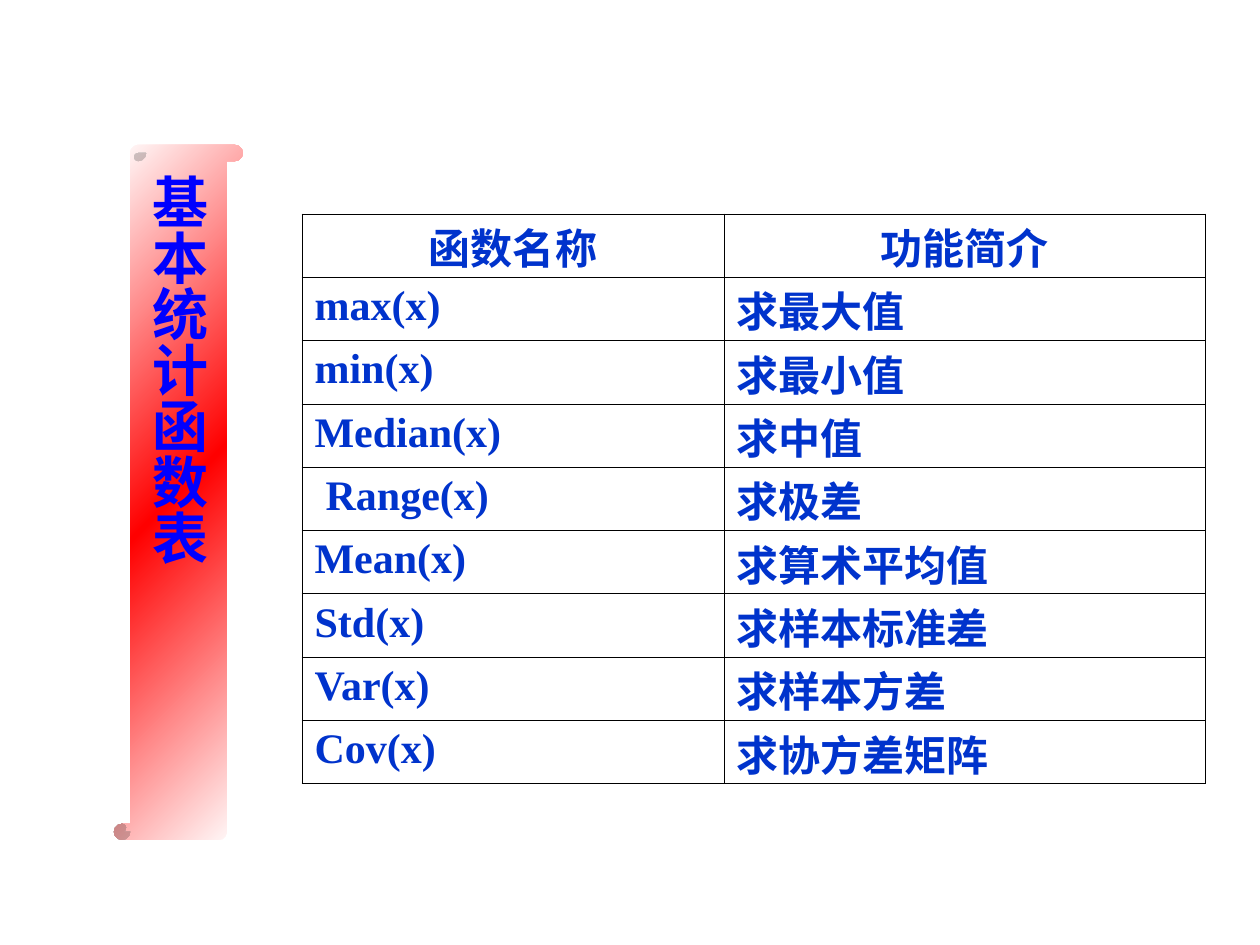
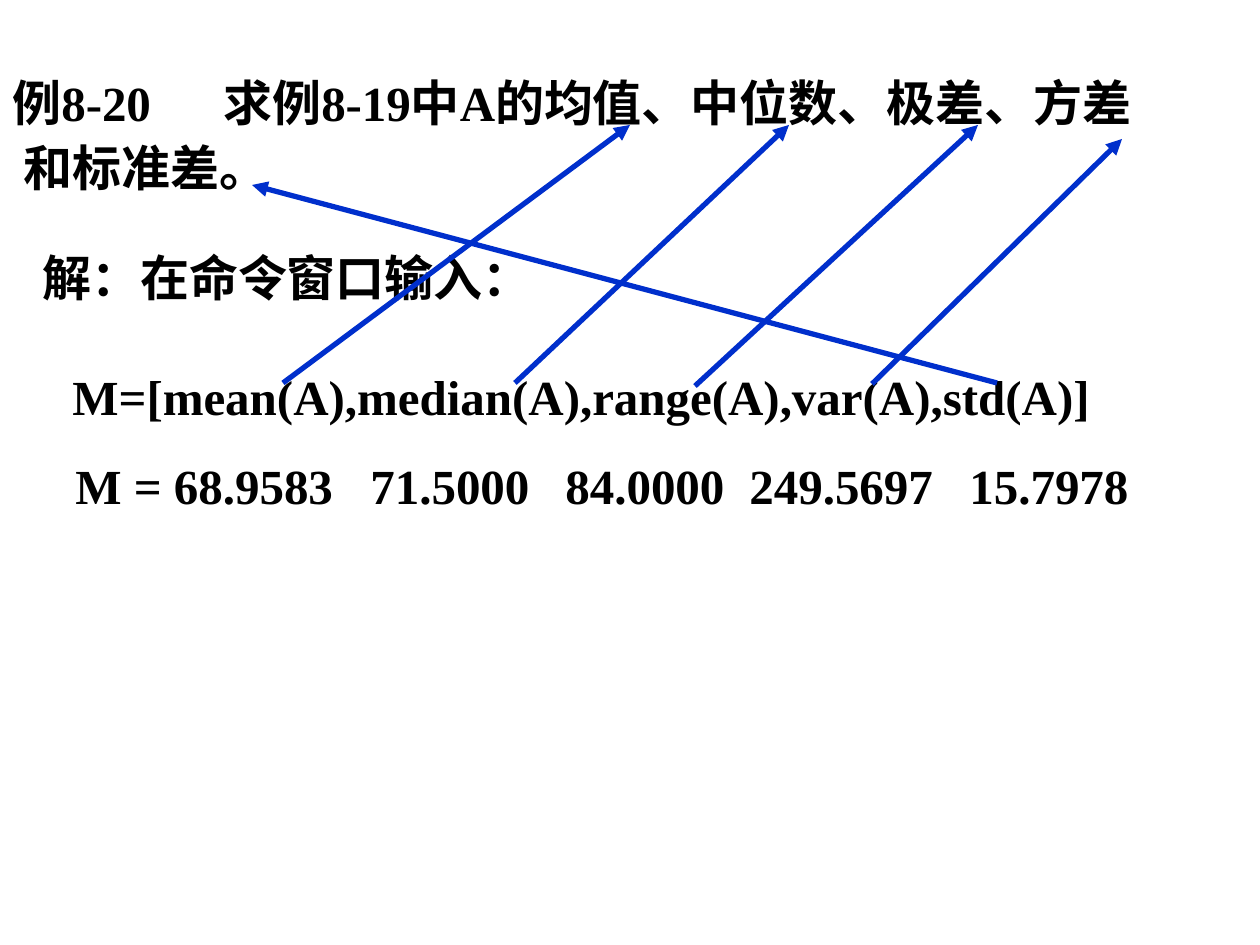
from copy import deepcopy
from pptx import Presentation as Deck
from pptx.dml.color import RGBColor as Rgb
from pptx.enum.shapes import MSO_CONNECTOR as Conn, MSO_SHAPE as Kind
from pptx.enum.text import MSO_ANCHOR as Anchor, MSO_AUTO_SIZE as Auto, PP_ALIGN as Align
from pptx.oxml.ns import qn
from pptx.util import Pt
from lxml.etree import SubElement as Sub

HUES = {"ink": "000000", "cell": "0033CC", "arrow": "002FCC",
        "name": "0000FF", "edge": "FFFFFF", "core": "FF0000"}
SANS, SERIF = "Arial", "Times New Roman"
ROWS = [("函数名称", "功能简介"), ("max(x)", "求最大值"), ("min(x)", "求最小值"),
        ("Median(x)", "求中值"), ("Range(x)", "求极差"), ("Mean(x)", "求算术平均值"),
        ("Std(x)", "求样本标准差"), ("Var(x)", "求样本方差"), ("Cov(x)", "求协方差矩阵")]
TASK = [("例", SANS), ("8-20\t", SERIF), ("求例", SANS), ("8-19", SERIF), ("中", SANS),
        ("A", SERIF), ("的均值、中位数、极差、方差", SANS)]
ARROWS = [(283, 383, 630, 125), (515, 383, 789, 125), (695, 386, 978, 125),
          (872, 384, 1122, 139), (997, 383, 252, 185)]


def emu(px):
    return round(px * 914400 / 126)


def hue(key):
    return Rgb.from_string(HUES[key])


class Board:
    """Holds the deck style and draws on the current slide."""

    def __init__(self):
        self.deck = Deck()
        self.deck.slide_width, self.deck.slide_height = emu(1260), emu(945)

    def page(self):
        self.slide = self.deck.slides.add_slide(self.deck.slide_layouts[6])
        self.shapes = self.slide.shapes

    def style(self, para, face, size, key):
        font = para.font
        font.name, font.size, font.bold = face, Pt(size), True
        font.color.rgb = hue(key)

    def inset(self, para, left, stops=()):
        props = para._p.get_or_add_pPr()
        if left:
            props.set("marL", str(emu(left)))
            props.set("indent", "0")
        if stops:
            tabs = Sub(props, qn("a:tabLst"))
            for stop in stops:
                Sub(tabs, qn("a:tab"), pos=str(emu(stop)), algn="l")

    def scroll(self, text, *box):
        shape = self.shapes.add_shape(Kind.VERTICAL_SCROLL, *map(emu, box))
        shape.shadow.inherit = False
        shape.line.fill.background()
        fill = shape.fill
        fill.gradient()
        fill.gradient_angle = 315
        first = fill._fill._gradFill.find(qn("a:gsLst"))[0]
        first.addnext(deepcopy(first))
        for stop, key, at in zip(fill.gradient_stops, ("edge", "core", "edge"), (0, 0.5, 1)):
            stop.color.rgb, stop.position = hue(key), at
        frame = shape.text_frame
        frame.word_wrap, frame.vertical_anchor = True, Anchor.MIDDLE
        frame.margin_left = frame.margin_right = emu(6)
        frame.margin_top = frame.margin_bottom = emu(13)
        frame._txBody.bodyPr.set("vert", "eaVert")
        para = frame.paragraphs[0]
        para.text, para.alignment = text, Align.CENTER
        self.style(para, SANS, 32, "name")

    def table(self, rows, cols, left, top, high):
        grid = self.shapes.add_table(len(rows), len(cols), emu(left), emu(top),
                                     emu(sum(cols)), emu(high)).table
        grid.first_row = grid.horz_banding = False
        for col, wide in zip(grid.columns, cols):
            col.width = emu(wide)
        for r, row in enumerate(rows):
            grid.rows[r].height = emu(high / len(rows))
            for c, text in enumerate(row):
                cell = grid.cell(r, c)
                cell.margin_top = emu(6 if text.isascii() else 2)
                cell.margin_bottom = 0
                para = cell.text_frame.paragraphs[0]
                para.text = text
                para.alignment = Align.LEFT if r else Align.CENTER
                self.style(para, SERIF, 24, "cell")
                self.inset(para, 11 if text.startswith("Range") else 0)
                self.border(cell)

    def border(self, cell):
        props = cell._tc.get_or_add_tcPr()
        for side in ("a:lnL", "a:lnR", "a:lnT", "a:lnB"):
            line = Sub(props, qn(side), w=str(Pt(0.45)))
            Sub(Sub(line, qn("a:solidFill")), qn("a:srgbClr"), val=HUES["ink"])
        cell.fill.background()

    def text(self, lines, *box, wrap=True, side=Align.LEFT, stops=(), lefts=(0,)):
        frame = self.shapes.add_textbox(*map(emu, box)).text_frame
        frame.word_wrap, frame.vertical_anchor = wrap, Anchor.MIDDLE
        frame.auto_size = Auto.SHAPE_TO_FIT_TEXT
        for n, (runs, left) in enumerate(zip(lines, lefts)):
            para = frame.add_paragraph() if n else frame.paragraphs[0]
            para.alignment, para.line_spacing, para.space_before = side, 0.9, Pt(7)
            self.style(para, runs[0][1], 28, "ink")
            self.inset(para, left, stops)
            for words, face in runs:
                run = para.add_run()
                run.text = words
                font = run.font
                font.name, font.size, font.bold = face, Pt(28), True

    def arrow(self, *ends):
        line = self.shapes.add_connector(Conn.STRAIGHT, *map(emu, ends))
        line.line.color.rgb, line.line.width = hue("arrow"), Pt(3)
        Sub(line.line._get_or_add_ln(), qn("a:tailEnd"), type="triangle")
        Sub(line._element.spPr, qn("a:effectLst"))


def main():
    board = Board()
    board.page()
    board.table(ROWS, (422, 481), 302, 214, 570)
    board.scroll("基本统计函数表", 114, 145, 129, 695)

    board.page()
    board.text([[("M = 68.9583\t71.5000\t84.0000\t249.5697\t15.7978", SERIF)]],
               63, 456, 1090, 66, stops=(295, 490, 674, 894))
    board.text([TASK, [("和标准差。", SANS)]], 0, 46, 1216, 184,
               stops=(211,), lefts=(0, 11))
    board.text([[("解：在命令窗口输入：", SANS)]], 30, 248, 540, 66)
    board.text([[("M=[mean(A),median(A),range(A),var(A),std(A)]", SERIF)]],
               60, 367, 1042, 66, wrap=False, side=Align.CENTER)
    for ends in ARROWS:
        board.arrow(*ends)
    board.deck.save("out.pptx")


if __name__ == "__main__":
    main()
